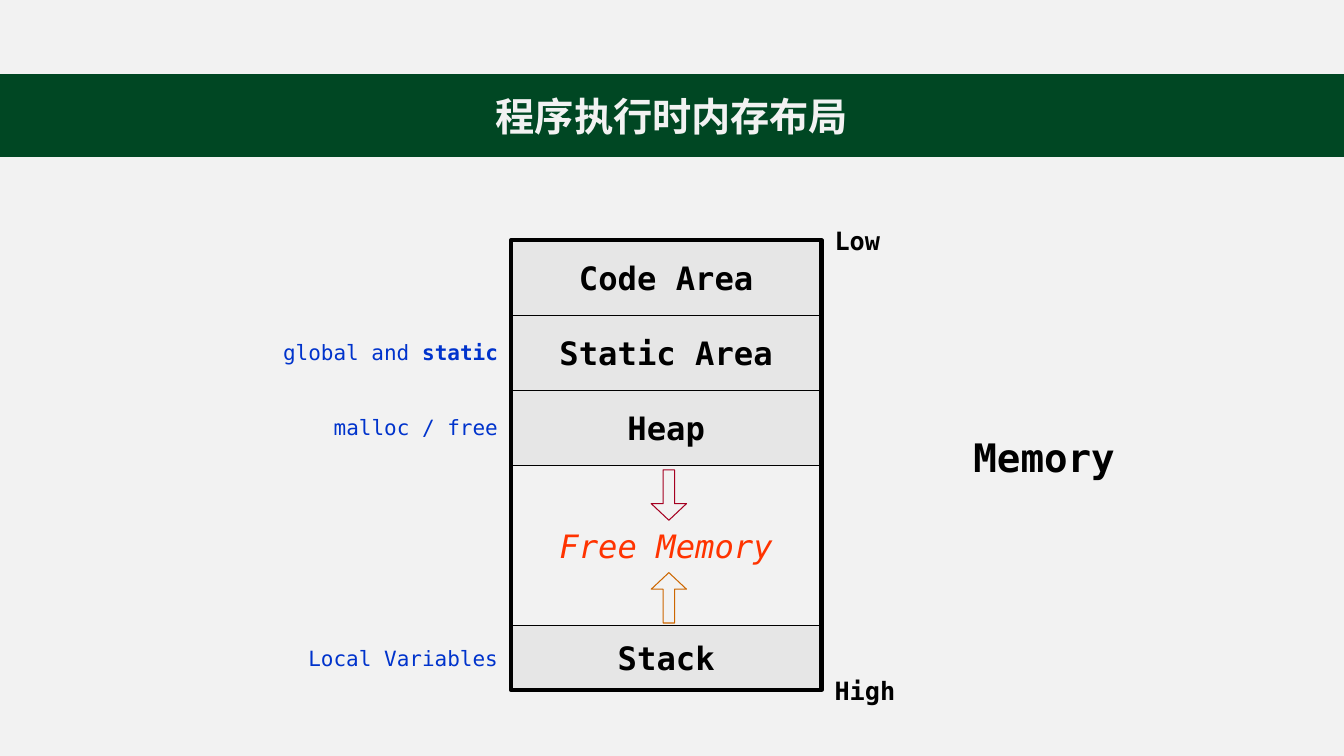
from dataclasses import dataclass

from pptx import Presentation
from pptx import util as u
from pptx.dml.color import RGBColor
from pptx.enum import shapes, text
from pptx.oxml import parse_xml
from pptx.oxml.ns import nsdecls

Cm, Pt = u.Cm, u.Pt
KIND = shapes.MSO_SHAPE
ALIGN = text.PP_ALIGN


@dataclass(frozen=True)
class Theme:
    back: str = "F2F2F2"
    band: str = "004723"
    cell: str = "E6E6E6"
    ink: str = "000000"
    note: str = "0033CC"
    free: str = "FF3300"
    down: str = "A50021"
    up: str = "CC6600"
    mono: str = "DejaVu Sans Mono"
    hans: str = "Noto Sans CJK SC"
    head: int = 28
    area: int = 23
    end: int = 18
    small: int = 15


T = Theme()

# Memory block, in cm
LEFT, TOP, WIDE = 12.88, 6.05, 7.82
AREAS = [  # name, height, note at the left as (text, bold) runs
    ("Code Area", 1.89, []),
    ("Static Area", 1.89, [("global and ", False), ("static", True)]),
    ("Heap", 1.89, [("malloc / free", False)]),
    ("Free Memory", 4.04, []),
    ("Stack", 1.63, [("Local Variables", False)]),
]


def rgb(code):
    return RGBColor.from_string(code)


def style(obj, form):
    for name, value in form.items():
        setattr(obj, name, value)


def paint(shape, fill, line, width=0.75):
    if fill:
        shape.fill.solid()
        shape.fill.fore_color.rgb = rgb(fill)
    else:
        shape.fill.background()
    shape.line.color.rgb = rgb(line)
    shape.line.width = Pt(width)


def write(shape, runs, size, color, align=ALIGN.LEFT, wrap=True, **form):
    """Fill one paragraph with (text, bold) runs."""
    frame = shape.text_frame
    style(frame, dict(word_wrap=wrap, auto_size=text.MSO_AUTO_SIZE.NONE,
                      vertical_anchor=text.MSO_ANCHOR.MIDDLE,
                      margin_left=Cm(0.33), margin_right=Cm(0.33),
                      margin_top=Cm(0.15), margin_bottom=Cm(0.15)))
    para = frame.paragraphs[0]
    para.alignment = align
    for words, bold in runs:
        run = para.add_run()
        run.text = words
        style(run.font, dict(dict(name=T.mono, size=Pt(size), bold=bold), **form))
        run.font.color.rgb = rgb(color)


def add_box(slide, kind, x, y, w, h, fill, line, width=0.75):
    box = slide.shapes.add_shape(kind, Cm(x), Cm(y), Cm(w), Cm(h))
    box.shadow.inherit = False
    paint(box, fill, line, width)
    return box


def add_arrow(slide, kind, y, color):
    arrow = add_box(slide, kind, 16.41, y, 0.89, 1.27, None, color)
    arrow.adjustments[0], arrow.adjustments[1] = 0.323, 0.47


def add_label(slide, x, mid, w, h, runs, size, color, **form):
    """Place a text box centred on the height mid."""
    box = slide.shapes.add_textbox(Cm(x), Cm(mid - h / 2), Cm(w), Cm(h))
    write(box, runs, size, color, **form)


def add_title(slide, words, width):
    title = slide.shapes.title
    style(title, dict(left=0, top=Cm(1.88), width=width, height=Cm(2.06)))
    paint(title, T.band, T.band, 1)
    write(title, [(words, True)], T.head, T.back, ALIGN.CENTER, name=T.hans)
    # East Asian typeface
    props = title.text_frame.paragraphs[0].runs[0].font._element
    props.append(parse_xml(f'<a:ea {nsdecls("a")} typeface="{T.hans}"/>'))


def add_memory(slide):
    y = TOP
    for name, high, note in AREAS:
        free = name == "Free Memory"
        box = add_box(slide, KIND.RECTANGLE, LEFT, y, WIDE, high,
                      None if free else T.cell, T.ink)
        write(box, [(name, not free)], T.area, T.free if free else T.ink,
              ALIGN.CENTER, wrap=False, italic=free)
        if note:
            add_label(slide, LEFT - 6.9, y + high / 2, 6.9, 0.97, note,
                      T.small, T.note, align=ALIGN.RIGHT)
        y += high

    # Growth of heap and stack
    add_arrow(slide, KIND.DOWN_ARROW, 11.84, T.down)
    add_arrow(slide, KIND.UP_ARROW, 14.43, T.up)

    # Outer frame and address ends
    add_box(slide, KIND.RECTANGLE, LEFT, TOP, WIDE, y - TOP, None, T.ink, 3)
    for name, mid in (("Low", TOP), ("High", y)):
        add_label(slide, LEFT + WIDE, mid, 2.97, 1.09, [(name, True)],
                  T.end, T.ink)


def main():
    deck = Presentation()
    style(deck, dict(slide_width=u.Inches(13.333), slide_height=u.Inches(7.5)))
    slide = deck.slides.add_slide(deck.slide_layouts.get_by_name("Title Only"))
    slide.background.fill.solid()
    slide.background.fill.fore_color.rgb = rgb(T.back)

    add_title(slide, "程序执行时内存布局", deck.slide_width)
    add_memory(slide)
    add_label(slide, 24.2, 11.5, 5.33, 1.45, [("Memory", True)], T.head, T.ink)
    deck.save("out.pptx")


if __name__ == "__main__":
    main()
